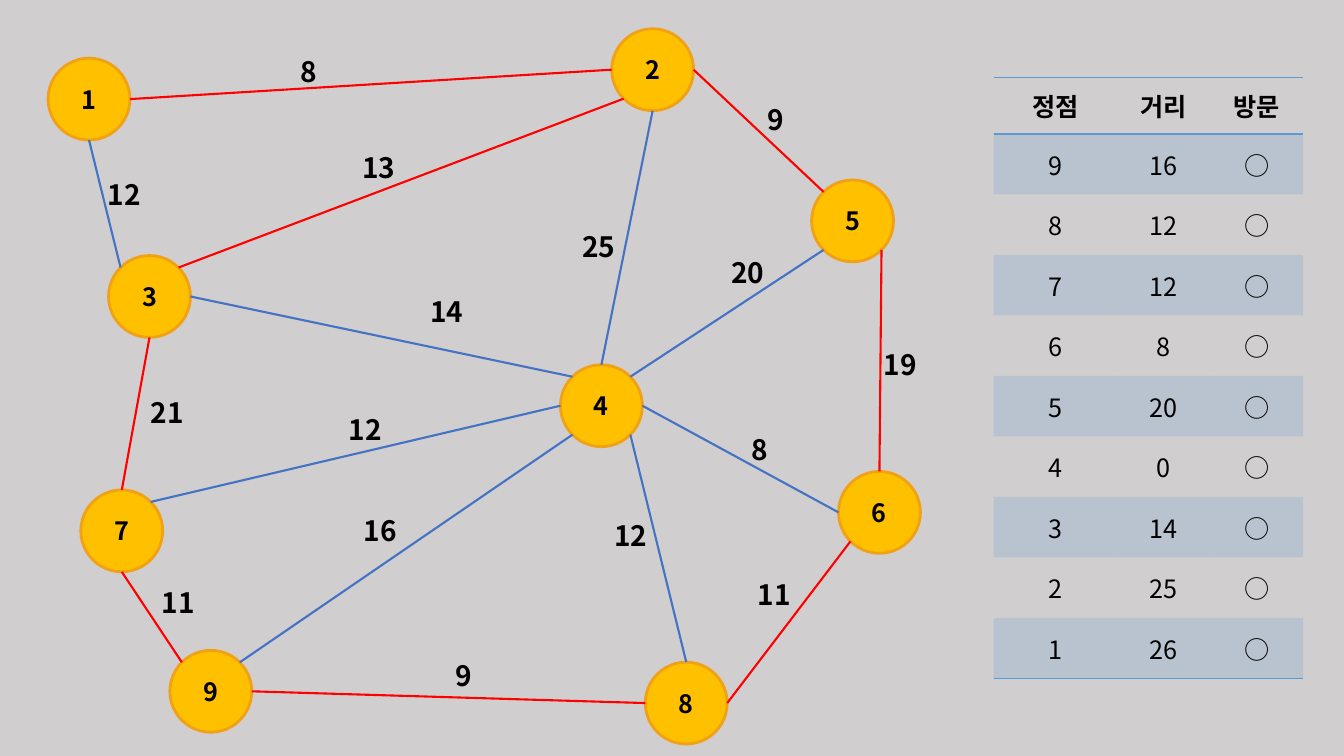
"""Build a slide with a weighted graph, its spanning tree and a table of distances."""
import math
from dataclasses import dataclass

import lxml.etree
import pptx
import pptx.dml.color
import pptx.enum.shapes
import pptx.enum.text
import pptx.oxml.ns
import pptx.util

COLUMNS, ROWS = 160, 90
CELL = pptx.util.Inches(1 / 12)
qn = pptx.oxml.ns.qn


@dataclass(frozen=True)
class Theme:
    """Colours, font and sizes of the slide."""
    font: str = "Noto Sans CJK KR"
    background: str = "D0CECE"
    text: str = "000000"
    node_fill: str = "FFC000"
    node_line: str = "F1A116"
    tree_edge: str = "FF0000"
    other_edge: str = "4472C4"
    table: str = "5B9BD5"
    band_alpha: int = 20
    node_size: int = 18
    weight_size: int = 20
    table_size: int = 18
    node_width: float = 2
    edge_width: float = 1.5
    border_width: float = 1


@dataclass(frozen=True)
class Box:
    """A region of the slide in grid cells."""
    left: float
    top: float
    width: float
    height: float


THEME = Theme()
NO_STYLE = "{2D5ABB26-0587-4C30-8999-92F81FD0307C}"
TOP, TOP_LEFT, LEFT, BOTTOM_LEFT, BOTTOM, BOTTOM_RIGHT, RIGHT, TOP_RIGHT = range(8)
DIAMETER = 9.75
WEIGHT_WIDTHS = {1: 4.3, 2: 6.4}
WEIGHT_HEIGHT = 5.3

NODES = {
    1: (10.6, 11.8), 2: (77.7, 8.3), 3: (17.8, 35.3),
    4: (71.6, 48.3), 5: (101.5, 26.3), 6: (104.7, 61),
    7: (14.5, 63.2), 8: (81.7, 83.7), 9: (25.1, 82.3),
}
TREE_EDGES = [
    (1, RIGHT, 2, LEFT, 8, 36.8, 8.5),
    (3, TOP_RIGHT, 2, BOTTOM_LEFT, 13, 45.1, 20),
    (5, TOP_LEFT, 2, RIGHT, 9, 92.3, 14.3),
    (5, BOTTOM_RIGHT, 6, TOP, 19, 107.2, 43.4),
    (8, RIGHT, 6, BOTTOM_LEFT, 11, 92.2, 70.8),
    (9, RIGHT, 8, LEFT, 9, 55.2, 80.4),
    (7, BOTTOM, 9, TOP_LEFT, 11, 21.2, 71.8),
    (7, TOP, 3, BOTTOM, 21, 19.9, 49.1),
]
OTHER_EDGES = [
    (1, BOTTOM, 3, TOP_LEFT, 12, 14.8, 23.2),
    (2, BOTTOM, 4, TOP, 25, 71.3, 29.4),
    (3, RIGHT, 4, TOP_LEFT, 14, 53.2, 37.1),
    (5, BOTTOM_LEFT, 4, TOP_RIGHT, 20, 89, 32.5),
    (4, RIGHT, 6, LEFT, 8, 90.4, 53.5),
    (8, TOP, 4, BOTTOM_RIGHT, 12, 75.1, 63.8),
    (4, BOTTOM_LEFT, 9, TOP_RIGHT, 16, 45.3, 63.2),
    (7, TOP_RIGHT, 4, LEFT, 12, 43.5, 51.2),
]
HEADINGS = ["정점", "거리", "방문"]
DISTANCES = {9: 16, 8: 12, 7: 12, 6: 8, 5: 20, 4: 0, 3: 14, 2: 25, 1: 26}
COLUMN_SHARES = [0.4, 0.3, 0.3]
HEADER_HEIGHT = 6.7


def cells(*counts):
    """Turn counts of grid cells into lengths."""
    return [pptx.util.Emu(round(count * CELL)) for count in counts]


def rgb(value):
    """Give the colour for a hexadecimal value."""
    return pptx.dml.color.RGBColor.from_string(value)


def write(text_frame, text, size, bold=True):
    """Put one centred line of text in a frame."""
    text_frame.text = str(text)
    paragraph = text_frame.paragraphs[0]
    paragraph.alignment = pptx.enum.text.PP_ALIGN.CENTER
    run = paragraph.runs[0]
    run.font.size = pptx.util.Pt(size)
    run.font.bold = bold
    run.font.color.rgb = rgb(THEME.text)
    run.font.name = THEME.font
    lxml.etree.SubElement(run.font._element, qn("a:ea"), typeface=THEME.font)


def add_node(slide, number, x, y):
    """Draw a numbered circle around its centre."""
    radius = DIAMETER / 2
    shape = slide.shapes.add_shape(
        pptx.enum.shapes.MSO_SHAPE.OVAL,
        *cells(x - radius, y - radius, DIAMETER, DIAMETER))
    shape.shadow.inherit = False
    shape.fill.solid()
    shape.fill.fore_color.rgb = rgb(THEME.node_fill)
    shape.line.color.rgb = rgb(THEME.node_line)
    shape.line.width = pptx.util.Pt(THEME.node_width)
    shape.text_frame.vertical_anchor = pptx.enum.text.MSO_ANCHOR.MIDDLE
    write(shape.text_frame, number, THEME.node_size)
    return shape


def site_point(circle, site):
    """Find a connection site, counted anticlockwise from the top."""
    angle = math.radians(90 + 45 * site)
    radius = circle.width / 2
    return (round(circle.left + radius * (1 + math.cos(angle))),
            round(circle.top + radius * (1 - math.sin(angle))))


def add_edge(slide, start, start_site, end, end_site, color):
    """Join two circles with a straight line."""
    connector = slide.shapes.add_connector(
        pptx.enum.shapes.MSO_CONNECTOR.STRAIGHT,
        *site_point(start, start_site), *site_point(end, end_site))
    connector.line.color.rgb = rgb(color)
    connector.line.width = pptx.util.Pt(THEME.edge_width)
    element = connector._element
    lxml.etree.SubElement(element.spPr, qn("a:effectLst"))
    joints = element.find(f"{qn('p:nvCxnSpPr')}/{qn('p:cNvCxnSpPr')}")
    for tag, circle, site in (("a:stCxn", start, start_site), ("a:endCxn", end, end_site)):
        lxml.etree.SubElement(joints, qn(tag), id=str(circle.shape_id), idx=str(site))


def add_weight(slide, weight, x, y):
    """Write the weight of an edge around a centre."""
    width = WEIGHT_WIDTHS[len(str(weight))]
    text_box = slide.shapes.add_textbox(
        *cells(x - width / 2, y - WEIGHT_HEIGHT / 2, width, WEIGHT_HEIGHT))
    text_box.text_frame.word_wrap = False
    text_box.text_frame.auto_size = pptx.enum.text.MSO_AUTO_SIZE.SHAPE_TO_FIT_TEXT
    write(text_box.text_frame, weight, THEME.weight_size)


def add_graph(slide, box):
    """Draw the nodes, edges and weights inside a box."""
    circles = {number: add_node(slide, number, box.left + x, box.top + y)
               for number, (x, y) in NODES.items()}
    for edges, color in ((OTHER_EDGES, THEME.other_edge), (TREE_EDGES, THEME.tree_edge)):
        for start, start_site, end, end_site, weight, x, y in edges:
            add_edge(slide, circles[start], start_site, circles[end], end_site, color)
            add_weight(slide, weight, box.left + x, box.top + y)


def add_border(cell, tag):
    """Draw a line along one side of a cell."""
    width = pptx.util.Pt(THEME.border_width)
    line = lxml.etree.SubElement(cell._tc.get_or_add_tcPr(), qn(tag), w=str(width))
    fill = lxml.etree.SubElement(line, qn("a:solidFill"))
    lxml.etree.SubElement(fill, qn("a:srgbClr"), val=THEME.table)


def fill_band(cell):
    """Give a cell a translucent fill."""
    cell.fill.solid()
    cell.fill.fore_color.rgb = rgb(THEME.table)
    color = cell._tc.tcPr.find(f"{qn('a:solidFill')}/{qn('a:srgbClr')}")
    lxml.etree.SubElement(color, qn("a:alpha"), val=str(THEME.band_alpha * 1000))


def add_distance_table(slide, box):
    """Draw the banded table of distances inside a box."""
    rows = [HEADINGS] + [(node, distance, "○") for node, distance in DISTANCES.items()]
    table = slide.shapes.add_table(
        len(rows), len(HEADINGS), *cells(box.left, box.top, box.width, box.height)).table
    table._tbl.tblPr.find(qn("a:tableStyleId")).text = NO_STYLE
    for column, share in zip(table.columns, COLUMN_SHARES):
        column.width, = cells(box.width * share)
    body_height = (box.height - HEADER_HEIGHT) / len(DISTANCES)
    for index, values in enumerate(rows):
        table.rows[index].height, = cells(body_height if index else HEADER_HEIGHT)
        for position, value in enumerate(values):
            cell = table.cell(index, position)
            cell.vertical_anchor = pptx.enum.text.MSO_ANCHOR.MIDDLE
            write(cell.text_frame, value, THEME.table_size, bold=index == 0)
            if index == 0:
                add_border(cell, "a:lnT")
            if index in (0, len(rows) - 1):
                add_border(cell, "a:lnB")
            if index % 2:
                fill_band(cell)
            else:
                cell.fill.background()


def main():
    """Build and save the presentation."""
    presentation = pptx.Presentation()
    presentation.slide_width, presentation.slide_height = cells(COLUMNS, ROWS)
    slide = presentation.slides.add_slide(presentation.slide_layouts[6])
    slide.background.fill.solid()
    slide.background.fill.fore_color.rgb = rgb(THEME.background)
    add_distance_table(slide, Box(118.3, 9.25, 36.85, 71.5))
    add_graph(slide, Box(0, 0, 112, ROWS))
    presentation.save("out.pptx")


if __name__ == "__main__":
    main()
